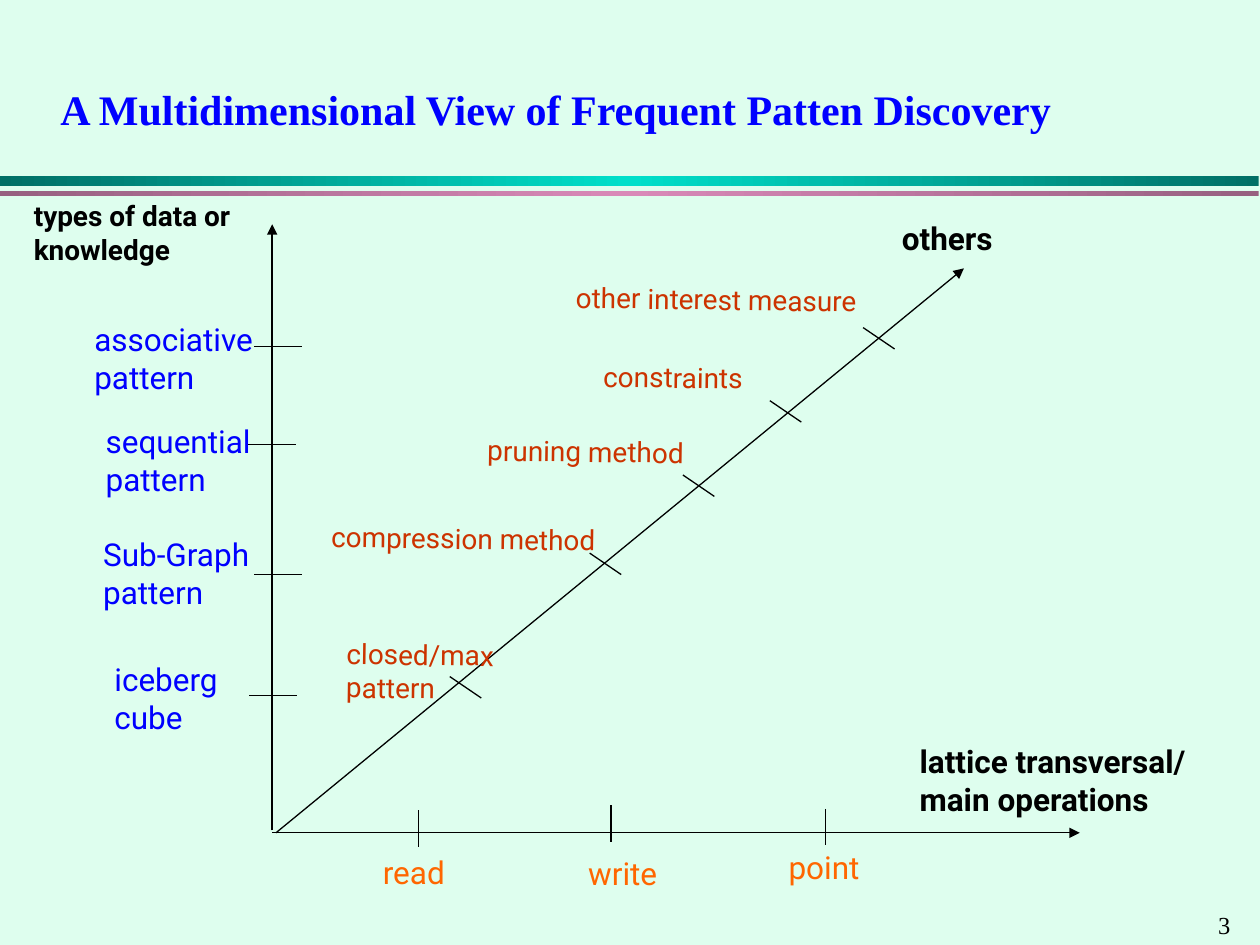
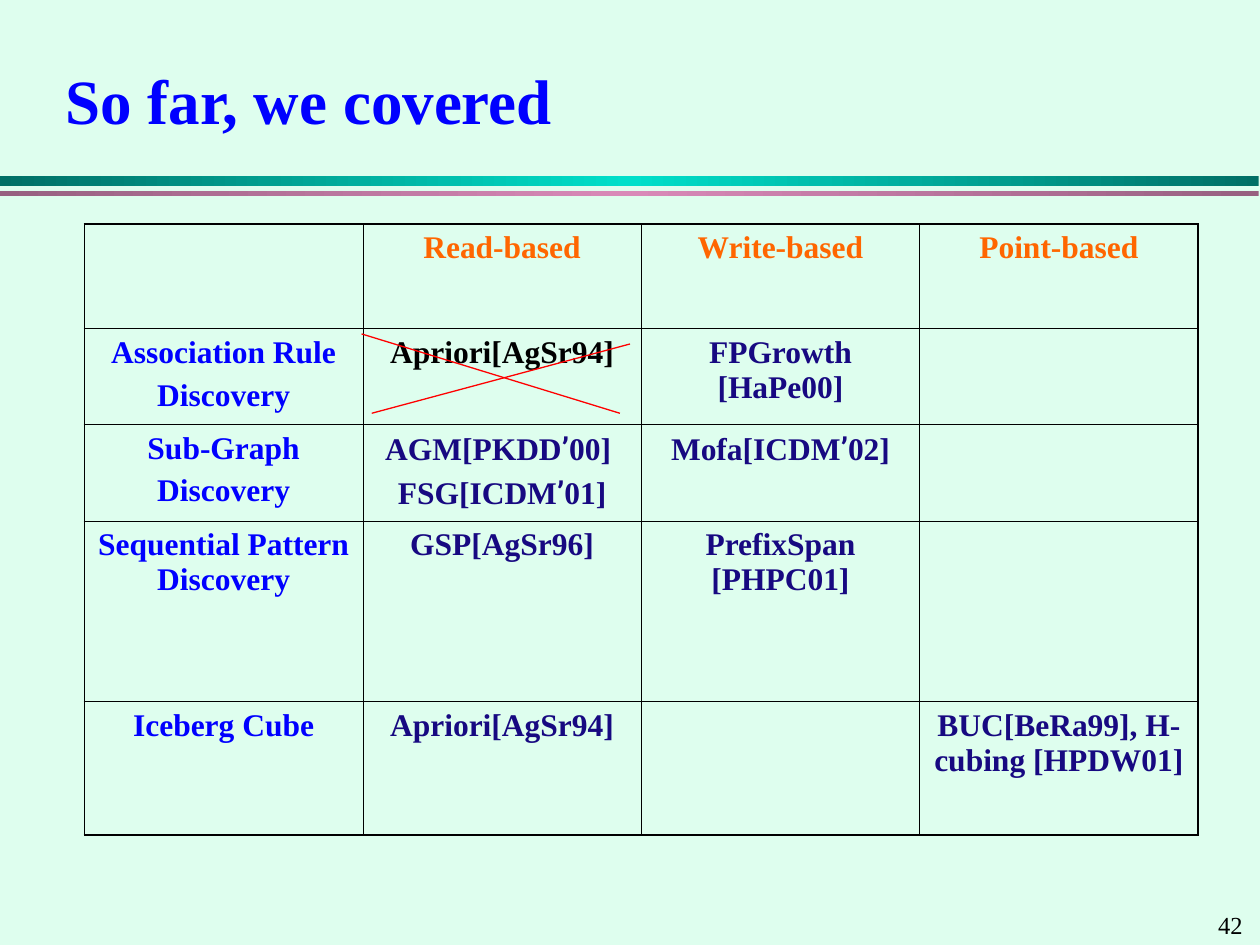
from copy import deepcopy
from dataclasses import dataclass

from lxml import etree
from pptx import Presentation
from pptx import util as u
from pptx.dml.color import RGBColor
from pptx.enum import shapes, text
from pptx.oxml.ns import qn


@dataclass(frozen=True)
class Theme:
    page: str = "DEFEEE"
    ink: str = "000000"
    blue: str = "0000FF"
    orange: str = "FF6600"
    rust: str = "CC3300"
    navy: str = "170981"
    red: str = "FF0000"
    teal_band: tuple = ("006F65", "00DFCA", "006F65")
    pink_band: tuple = ("976080", "D989B8", "976080")
    serif: str = "Times New Roman"
    sans: str = "Roboto"
    number: int = 14
    small: int = 16
    body: int = 18
    hairline: float = 0.75
    inner_border: float = 0.45
    outer_border: float = 1.08


theme = Theme()


def write(frame, content, size, color, font=theme.sans, bold=False,
          align=text.PP_ALIGN.LEFT, gap=0):
    layout = {"word_wrap": True, "auto_size": text.MSO_AUTO_SIZE.NONE}
    for name, value in layout.items():
        setattr(frame, name, value)
    for row, line in enumerate(content.split("\n")):
        paragraph = frame.add_paragraph() if row else frame.paragraphs[0]
        paragraph.alignment = align
        if row:
            paragraph.space_before = u.Pt(gap)
        for part in line.replace("’", "|’|").split("|"):
            run = paragraph.add_run()
            run.text = part
            face = theme.sans if part == "’" else font
            for name, value in {"name": face, "size": u.Pt(size), "bold": bold}.items():
                setattr(run.font, name, value)
            run.font.color.rgb = RGBColor.from_string(color)


def draw_line(slide, x1, y1, x2, y2, color=theme.ink, arrow=False):
    line = slide.shapes.add_connector(
        shapes.MSO_CONNECTOR.STRAIGHT, *map(u.Inches, (x1, y1, x2, y2)))
    line.line.color.rgb = RGBColor.from_string(color)
    line.line.width = u.Pt(theme.hairline)
    properties = line._element.spPr
    if arrow:
        etree.SubElement(properties.find(qn("a:ln")), qn("a:tailEnd"), type="triangle")
    etree.SubElement(properties, qn("a:effectLst"))


deck = Presentation()
deck.slide_width, deck.slide_height = u.Inches(10), u.Inches(7.5)
page_fill = deck.slide_master.background.fill
page_fill.solid()
page_fill.fore_color.rgb = RGBColor.from_string(theme.page)

headings = [
    ("A Multidimensional View of Frequent Patten Discovery", 24, (0.38, 0.41, 9.62, 0.9), "3"),
    ("So far, we covered", 36, (0.42, 0.42, 9.17, 0.73), "42"),
]
bands = [(1.4, 0.08, theme.teal_band), (1.52, 0.04, theme.pink_band)]

for heading, size, place, number in headings:
    slide = deck.slides.add_slide(deck.slide_layouts[5])
    title = slide.shapes.title
    for name, value in zip(("left", "top", "width", "height"), place):
        setattr(title, name, u.Inches(value))
    title.text_frame.vertical_anchor = text.MSO_ANCHOR.MIDDLE
    write(title.text_frame, heading, size, theme.blue, theme.serif, True)

    for top, height, colors in bands:
        band = slide.shapes.add_shape(
            shapes.MSO_SHAPE.RECTANGLE, 0, u.Inches(top), u.Inches(9.99), u.Inches(height))
        band.shadow.inherit = False
        band.line.fill.background()
        band.fill.gradient()
        band.fill.gradient_angle = 0
        stops = band._element.spPr.find(".//" + qn("a:gsLst"))
        stops.append(deepcopy(stops[0]))
        for stop, position, color in zip(band.fill.gradient_stops, (0, 0.5, 1), colors):
            stop.position = position
            stop.color.rgb = RGBColor.from_string(color)

    page_number = slide.shapes.add_textbox(*map(u.Inches, (9.57, 7.17, 0.43, 0.34)))
    write(page_number.text_frame, number, theme.number, theme.ink, theme.serif)

view, covered = deck.slides

for axis in [(2.16, 6.59, 2.16, 1.78), (2.16, 6.61, 8.57, 6.61), (2.19, 6.61, 7.65, 2.13)]:
    draw_line(view, *axis, arrow=True)

tick_groups = [
    (0.38, 0, [(2.02, 2.75), (1.97, 3.53), (2.02, 4.56), (1.98, 5.52)]),
    (0, 0.29, [(3.32, 6.43), (4.85, 6.39), (6.55, 6.42)]),
    (0.25, 0.17, [(6.85, 2.6), (6.11, 3.18), (5.42, 3.77), (4.68, 4.39), (3.57, 5.37)]),
]
for run_x, run_y, starts in tick_groups:
    for x, y in starts:
        draw_line(view, x, y, x + run_x, y + run_y)

label_groups = [
    (theme.small, theme.ink, True, 0, [
        ("types of data or knowledge", 0.17, 1.53, 1.98, 0.64)]),
    (theme.body, theme.ink, True, 0, [
        ("lattice transversal/ main operations", 7.2, 5.84, 2.8, 0.7),
        ("others", 7.06, 1.69, 1.24, 0.4)]),
    (theme.body, theme.blue, False, 0, [
        ("associative pattern", 0.65, 2.49, 1.84, 0.7),
        ("sequential pattern", 0.74, 3.3, 1.84, 0.7),
        ("Sub-Graph pattern", 0.72, 4.2, 1.84, 0.7),
        ("iceberg cube", 0.81, 5.19, 1.44, 0.7)]),
    (theme.body, theme.orange, False, 0, [
        ("read", 2.94, 6.72, 0.92, 0.4),
        ("write", 4.57, 6.73, 0.92, 0.4),
        ("point", 6.16, 6.68, 0.92, 0.4)]),
    (theme.small, theme.rust, False, 0.8, [
        ("other interest measure", 4.47, 2.19, 2.49, 0.64),
        ("constraints", 4.69, 2.81, 1.49, 0.37),
        ("pruning method", 3.77, 3.4, 2.14, 0.37),
        ("compression method", 2.53, 4.09, 2.62, 0.37),
        ("closed/max pattern", 2.65, 5.01, 1.49, 0.64)]),
]
for size, color, bold, tilt, labels in label_groups:
    for wording, *place in labels:
        label = view.shapes.add_textbox(*map(u.Inches, place))
        label.rotation = tilt
        write(label.text_frame, wording, size, color, bold=bold)

methods = [
    ("", "Read-based", "Write-based", "Point-based"),
    ("Association Rule\nDiscovery", "Apriori[AgSr94]", "FPGrowth [HaPe00]", ""),
    ("Sub-Graph\nDiscovery", "AGM[PKDD’00] \nFSG[ICDM’01]", "Mofa[ICDM’02]", ""),
    ("Sequential Pattern Discovery", "GSP[AgSr96]", "PrefixSpan [PHPC01]", ""),
    ("Iceberg Cube", "Apriori[AgSr94]", "", "BUC[BeRa99], H-cubing [HPDW01]"),
]
row_heights = (0.83, 0.76, 0.77, 1.43, 1.06)
last_row, last_column = len(methods) - 1, len(methods[0]) - 1
grid = covered.shapes.add_table(
    len(methods), len(methods[0]), *map(u.Inches, (0.67, 1.78, 8.83, 4.85))).table
for name in ("first_row", "horz_banding"):
    setattr(grid, name, False)
for column in grid.columns:
    column.width = u.Inches(2.21)
for row, height in zip(grid.rows, row_heights):
    row.height = u.Inches(height)

for r, entries in enumerate(methods):
    for c, entry in enumerate(entries):
        cell = grid.cell(r, c)
        cell.fill.background()
        if entry:
            color = theme.orange if r == 0 else theme.blue if c == 0 else theme.navy
            if (r, c) == (1, 1):
                color = theme.ink
            write(cell.text_frame, entry, theme.body, color, theme.serif, True,
                  text.PP_ALIGN.CENTER, 4.5)
        edges = {"lnL": c == 0, "lnR": c == last_column, "lnT": r == 0, "lnB": r == last_row}
        for index, (side, outer) in enumerate(edges.items()):
            width = u.Pt(theme.outer_border if outer else theme.inner_border)
            border = etree.Element(qn("a:" + side), w=str(width))
            ink = etree.SubElement(border, qn("a:solidFill"))
            etree.SubElement(ink, qn("a:srgbClr"), val=theme.ink)
            cell._tc.get_or_add_tcPr().insert(index, border)

for stroke in [(2.95, 3.28, 5, 2.73), (4.92, 3.28, 2.87, 2.65)]:
    draw_line(covered, *stroke, color=theme.red)

deck.save("out.pptx")
